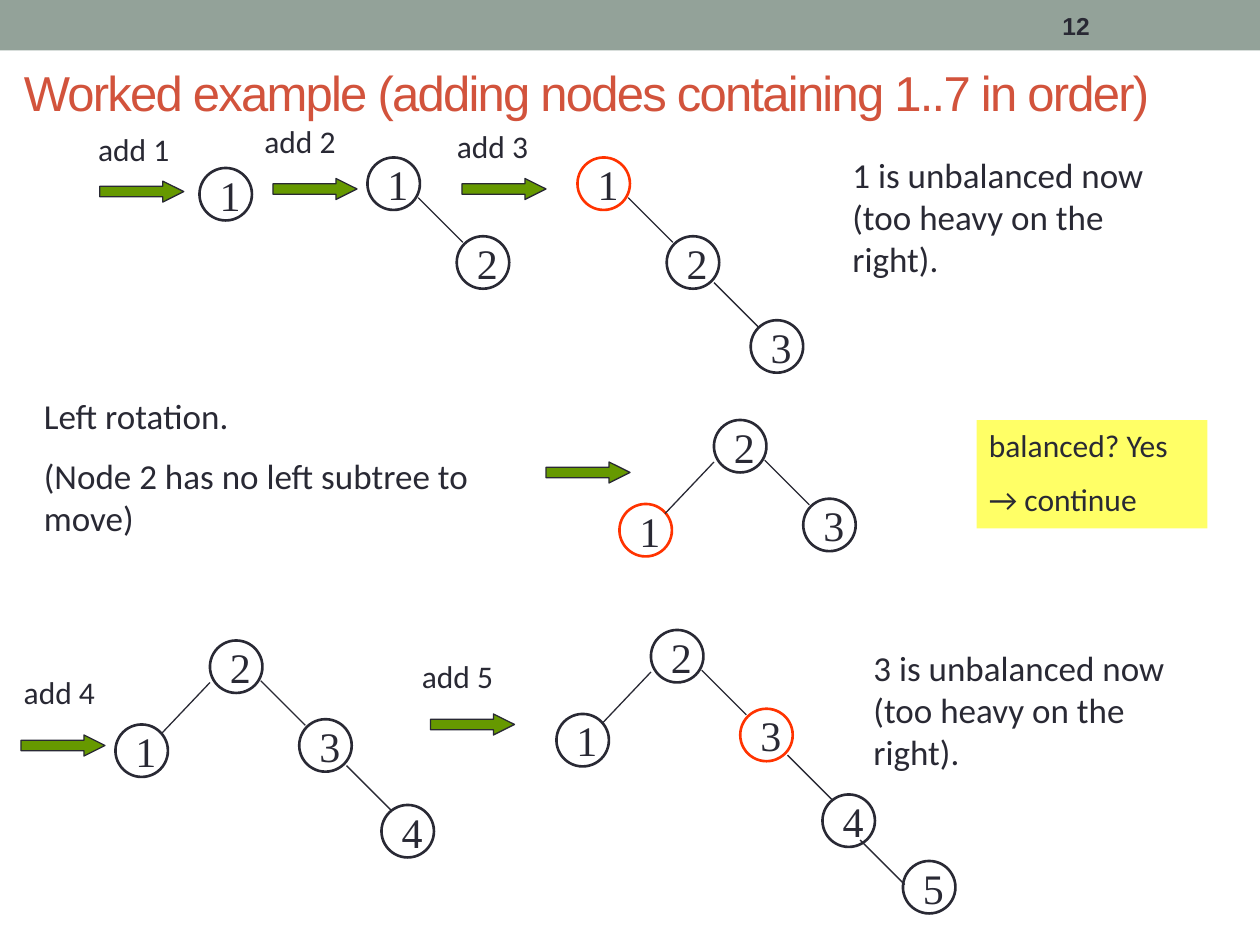
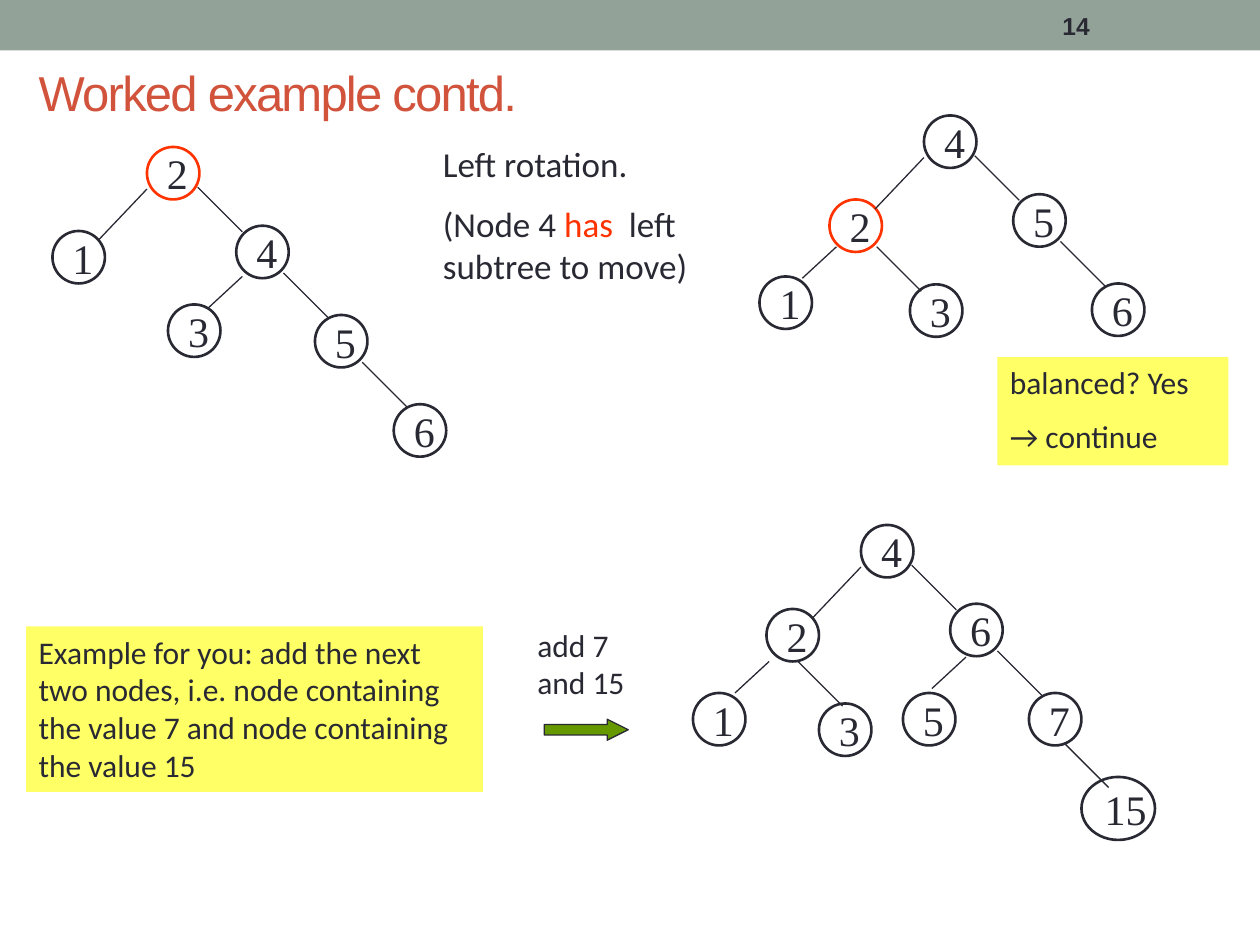
import pptx
import pptx.util
import pptx.dml.color
import pptx.enum.shapes
import pptx.enum.text
import pptx.oxml.ns
import lxml.etree

Pt = pptx.util.Pt
SHAPE = pptx.enum.shapes.MSO_SHAPE
ANCHOR = pptx.enum.text.MSO_ANCHOR

# Shared colours and fonts
INK, TITLE, BAND = "292934", "D2533C", "93A299"
HOT, GREEN, YELLOW = "FF3300", "669900", "FFFF66"
BODY, HEAD, DIGITS = "Calibri", "Arial", "Times New Roman"

# Node size, child offsets and edge vectors of every tree
NODE = 30
LEFT_CHILD, RIGHT_CHILD = (-54, 48), (51, 45)
LEFT, RIGHT, SHORT = (-28, 29.5), (25.5, 25.5), (-19.5, 18)


def rgb(hex_string):
    return pptx.dml.color.RGBColor.from_string(hex_string)


def add_shape(s, kind, x, y, w, h, fill=None, line=None, weight=0.75):
    sp = s.shapes.add_shape(kind, Pt(x), Pt(y), Pt(w), Pt(h))
    sp.shadow.inherit = False
    if fill:
        sp.fill.solid()
        sp.fill.fore_color.rgb = rgb(fill)
    else:
        sp.fill.background()
    if line:
        sp.line.color.rgb = rgb(line)
        sp.line.width = Pt(weight)
    else:
        sp.line.fill.background()
    return sp


def style(r, size, font=BODY, colour=INK, bold=False):
    r.font.size = Pt(size)
    r.font.name = font
    r.font.color.rgb = rgb(colour)
    r.font.bold = bold


def add_text(s, paragraphs, x, y, w, h, size=20, font=BODY, colour=INK,
             bold=False, fill=None, anchor=ANCHOR.TOP):
    """Text between bars in a paragraph is highlighted."""
    sp = s.shapes.add_textbox(Pt(x), Pt(y), Pt(w), Pt(h))
    if fill:
        sp.fill.solid()
        sp.fill.fore_color.rgb = rgb(fill)
    tf = sp.text_frame
    tf.word_wrap = True
    tf.vertical_anchor = anchor
    for i, paragraph in enumerate(paragraphs):
        p = tf.add_paragraph() if i else tf.paragraphs[0]
        if i:
            p.space_before = Pt(size / 2)
        for j, part in enumerate(paragraph.split("|")):
            r = p.add_run()
            r.text = part
            style(r, size, font, HOT if j % 2 else colour, bold)
    return tf


def add_slide(prs, title, x, number):
    s = prs.slides.add_slide(prs.slide_layouts[6])
    add_shape(s, SHAPE.RECTANGLE, 0, 0, 720, 28.8, BAND)
    tf = add_text(s, [title], x, 21, 683, 63, 28, HEAD, TITLE, anchor=ANCHOR.MIDDLE)
    tf.paragraphs[0].runs[0]._r.get_or_add_rPr().set("spc", "-100")
    add_text(s, [number], 600, 1.5, 84, 26, 14, HEAD, bold=True, anchor=ANCHOR.MIDDLE)
    return s


def add_arrow(s, x, y):
    sp = add_shape(s, SHAPE.RIGHT_ARROW, x, y, 48, 12, GREEN, INK)
    sp.adjustments[0], sp.adjustments[1] = 0.5, 1


def add_step(s, label, x, y, arrow_x, arrow_y):
    add_text(s, [label], x, y, 72, 29, 18)
    add_arrow(s, arrow_x, arrow_y)


def add_verdict(s, x, y):
    add_text(s, ["balanced? Yes", "→ continue"], x, y, 132, 62, 18, fill=YELLOW)


def add_node(s, label, x, y, hot):
    w, h = (NODE, NODE) if len(label) == 1 else (42, 36)
    sp = add_shape(s, SHAPE.OVAL, x, y, w, h, line=HOT if hot else INK, weight=1.5)
    tf = sp.text_frame
    tf.text = label
    tf.word_wrap = False
    tf.vertical_anchor = ANCHOR.MIDDLE
    p = tf.paragraphs[0]
    p.alignment = pptx.enum.text.PP_ALIGN.LEFT
    style(p.runs[0], 24, DIGITS)


def add_edge(s, x, y, vector):
    c = s.shapes.add_connector(pptx.enum.shapes.MSO_CONNECTOR.STRAIGHT,
                               Pt(x), Pt(y), Pt(x + vector[0]), Pt(y + vector[1]))
    c.line.color.rgb = rgb(INK)
    c.line.width = Pt(0.75)
    lxml.etree.SubElement(c._element.spPr, pptx.oxml.ns.qn("a:effectLst"))


def add_tree(s, x, y, root, left="", right="", hot="", nodes=(), edges=()):
    """Deeper nodes and edges are given relative to the root."""
    all_nodes, all_edges = [(root, 0, 0), *nodes], list(edges)
    if left:
        all_nodes.append((left, *LEFT_CHILD))
        all_edges.append((0, 24, LEFT))
    if right:
        all_nodes.append((right, *RIGHT_CHILD))
        all_edges.append((29, 23, RIGHT))
    for label, dx, dy in all_nodes:
        add_node(s, label, x + dx, y + dy, label == hot)
    for dx, dy, vector in all_edges:
        add_edge(s, x + dx, y + dy, vector)


def build_first(prs):
    s = add_slide(prs, "Worked example (adding nodes containing 1..7 in order)", 6.5, "12")
    down_right = (78, 71.5, RIGHT)

    # Adding 1 to 3
    add_step(s, "add 1", 49, 70.5, 57, 103.5)
    add_tree(s, 114, 96, "1")
    add_step(s, "add 2", 144, 66, 156, 102)
    add_tree(s, 210, 90, "1", right="2")
    add_step(s, "add 3", 254, 69, 264, 102)
    add_tree(s, 330, 90, "1", right="2", hot="1",
             nodes=[("3", 99, 93)], edges=[down_right])
    add_text(s, ["1 is unbalanced now (too heavy on the right)."], 480, 84, 198, 79)

    # Rotation
    add_text(s, ["Left rotation.", "(Node 2 has no left subtree to move)"],
             18, 222, 288, 91)
    add_arrow(s, 312, 264)
    add_tree(s, 408, 240, "2", "1", "3", hot="1")
    add_verdict(s, 558, 240)

    # Adding 4 and 5
    add_step(s, "add 4", 6.5, 381, 12, 420)
    add_tree(s, 120, 366, "2", "1", "3", nodes=[("4", 98, 94)], edges=[down_right])
    add_step(s, "add 5", 234, 372, 246, 408)
    add_tree(s, 372, 360, "2", "1", "3", hot="3",
             nodes=[("4", 98, 94), ("5", 144, 132)],
             edges=[down_right, (119.5, 120, RIGHT)])
    add_text(s, ["3 is unbalanced now (too heavy on the right)."], 492, 366, 198, 79)


def build_second(prs):
    s = add_slide(prs, "Worked example contd.", 15, "14")
    down_right = (78, 72, RIGHT)

    # Rotation: before and after
    add_tree(s, 84, 84, "2", "1", "4", hot="2",
             nodes=[("3", 12, 90), ("5", 96, 96), ("6", 141, 147)],
             edges=[down_right, (54.5, 74, SHORT), (123, 123, RIGHT)])
    add_text(s, ["Left rotation.", "(Node 4 |has | left subtree to move)"],
             246, 78, 168, 92)
    add_tree(s, 528, 66, "4", "2", "5", hot="2",
             nodes=[("1", -94, 92), ("3", -8, 96.5), ("6", 96, 96)],
             edges=[down_right, (-50, 75, SHORT), (-27, 75, RIGHT)])
    add_verdict(s, 570, 204)

    # Exercise: adding 7 and 15
    add_text(s, ["Example for you: add the next two nodes, i.e. node containing "
                 "the value 7 and node containing the value 15"],
             15, 358, 261, 94.5, 18, fill=YELLOW)
    add_step(s, "add 7 and 15", 300, 354, 311, 411)
    add_tree(s, 492, 300, "4", "2", "6",
             nodes=[("1", -96, 96), ("3", -24, 102), ("5", 24, 96),
                    ("7", 96, 96), ("15", 126, 144)],
             edges=[down_right, (60, 75.5, SHORT), (-36, 78, RIGHT),
                    (-52.5, 78, SHORT), (116, 124.5, RIGHT)])


def main():
    prs = pptx.Presentation()
    prs.slide_width, prs.slide_height = Pt(720), Pt(540)
    build_first(prs)
    build_second(prs)
    prs.save("out.pptx")


if __name__ == "__main__":
    main()
